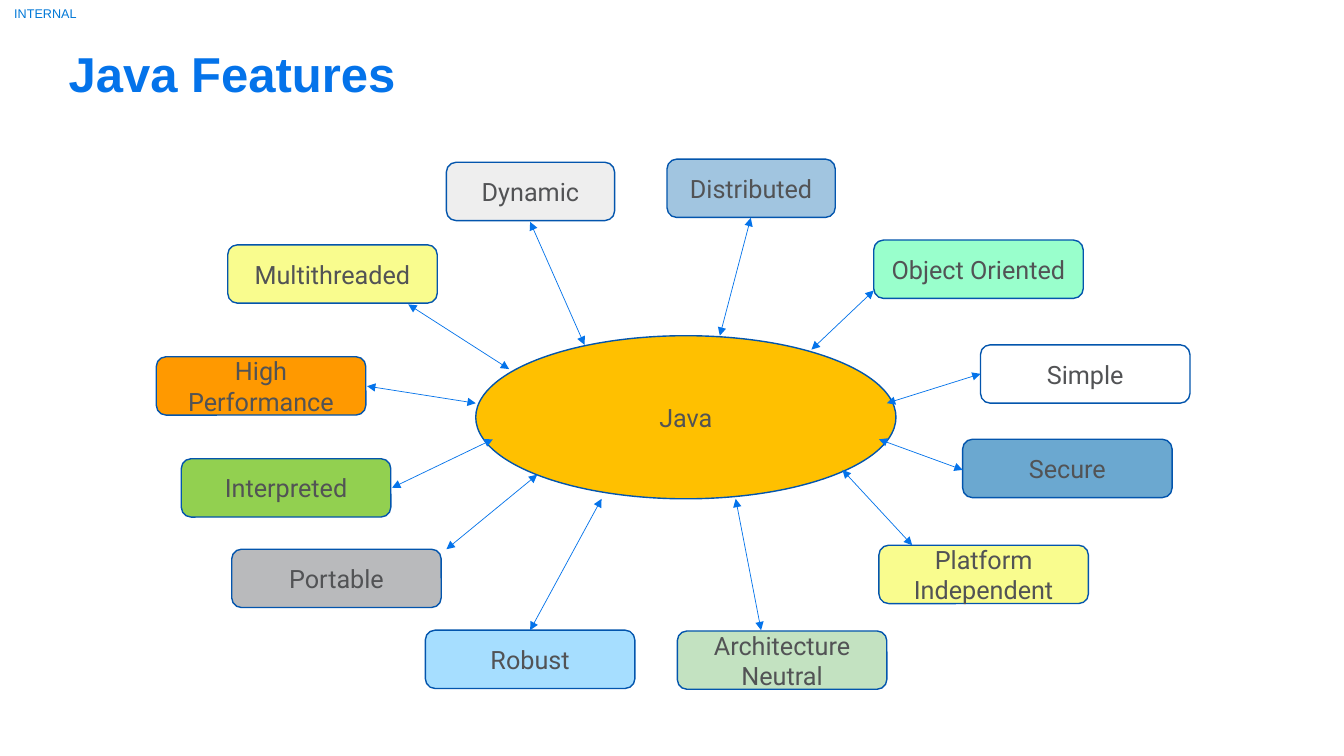
from lxml import etree
from pptx import Presentation
from pptx.dml.color import RGBColor
from pptx.enum.shapes import MSO_CONNECTOR, MSO_SHAPE
from pptx.enum.text import MSO_ANCHOR, PP_ALIGN
from pptx.oxml.ns import qn
from pptx.util import Cm, Pt

ELLIPSE = MSO_SHAPE.OVAL
ROUNDED = MSO_SHAPE.ROUNDED_RECTANGLE
STRAIGHT = MSO_CONNECTOR.STRAIGHT
TOP, MIDDLE = MSO_ANCHOR.TOP, MSO_ANCHOR.MIDDLE
LEFT, CENTER = PP_ALIGN.LEFT, PP_ALIGN.CENTER

LABEL_BLUE = RGBColor(0x00, 0x78, 0xD7)
BRIGHT_BLUE = RGBColor(0x04, 0x73, 0xEA)
OUTLINE_BLUE = RGBColor(0x03, 0x55, 0xAD)
TEXT_GREY = RGBColor(0x52, 0x53, 0x55)
AMBER = RGBColor(0xFF, 0xC0, 0x00)
STEEL_BLUE = RGBColor(0xA1, 0xC5, 0xE0)
MINT = RGBColor(0x99, 0xFF, 0xCC)
WHITE = RGBColor(0xFF, 0xFF, 0xFF)
MID_BLUE = RGBColor(0x6B, 0xA8, 0xD0)
YELLOW = RGBColor(0xF9, 0xFC, 0x8E)
SKY_BLUE = RGBColor(0xA6, 0xDE, 0xFF)
GREY = RGBColor(0xB9, 0xBA, 0xBC)
GREEN = RGBColor(0x92, 0xD0, 0x50)
ORANGE = RGBColor(0xFF, 0x99, 0x00)
PALE_GREEN = RGBColor(0xC3, 0xE2, 0xC1)
PALE_GREY = RGBColor(0xEE, 0xEE, 0xEE)

WIDE, NARROW, BOX_HEIGHT = 5.28, 4.24, 1.47

# Name, fill, left, top, width, arrow end at the box, arrow end at the ellipse (cm)
FEATURES = [
    ("Distributed", STEEL_BLUE, 16.81, 4.01, NARROW, (18.92, 5.49), (18.14, 8.46)),
    ("Object Oriented", MINT, 22.02, 6.05, WIDE, (22.02, 7.32), (20.45, 8.81)),
    ("Simple", WHITE, 24.71, 8.69, WIDE, (24.71, 9.42), (22.35, 10.16)),
    ("Secure", MID_BLUE, 24.26, 11.07, WIDE, (24.26, 11.84), (22.15, 11.07)),
    ("Platform Independent", YELLOW, 22.15, 13.74, WIDE, (22.99, 13.74), (21.23, 11.84)),
    ("Robust", SKY_BLUE, 10.72, 15.88, WIDE, (13.36, 15.88), (15.16, 12.57)),
    ("Portable", GREY, 5.84, 13.84, WIDE, (11.25, 13.84), (13.54, 11.96)),
    ("Interpreted", GREEN, 4.57, 11.56, WIDE, (9.88, 12.29), (12.42, 11.07)),
    ("High Performance", ORANGE, 3.94, 8.99, WIDE, (9.25, 9.73), (11.99, 10.16)),
    ("Multithreaded", YELLOW, 5.74, 6.17, WIDE, (10.29, 7.67), (12.83, 9.3)),
    ("Architecture Neutral", PALE_GREEN, 17.07, 15.9, WIDE, (19.18, 15.88), (18.54, 12.57)),
    ("Dynamic", PALE_GREY, 11.25, 4.09, NARROW, (13.36, 5.59), (14.73, 8.69)),
]


class FeatureSlide:
    heading_font = "Arial"
    body_font = "Roboto"
    body_size = 18

    def __init__(self, presentation):
        self.slide = presentation.slides.add_slide(presentation.slide_layouts[6])

    def set_text(self, frame, text, font_name, size, color, align, anchor, bold=False):
        frame.word_wrap = True
        frame.vertical_anchor = anchor
        paragraph = frame.paragraphs[0]
        paragraph.text = text
        paragraph.alignment = align
        font = paragraph.font
        font.name, font.size, font.bold = font_name, Pt(size), bold
        font.color.rgb = color

    def heading(self, text, left, top, width, height, size, color, align, anchor,
                bold=False, margin_top=0):
        box = self.slide.shapes.add_textbox(Cm(left), Cm(top), Cm(width), Cm(height))
        frame = box.text_frame
        frame.margin_left = frame.margin_right = frame.margin_bottom = 0
        frame.margin_top = Cm(margin_top)
        self.set_text(frame, text, self.heading_font, size, color, align, anchor, bold)

    def node(self, kind, text, fill, left, top, width, height):
        shape = self.slide.shapes.add_shape(kind, Cm(left), Cm(top), Cm(width), Cm(height))
        shape.shadow.inherit = False
        shape.fill.solid()
        shape.fill.fore_color.rgb = fill
        shape.line.color.rgb = OUTLINE_BLUE
        shape.line.width = Pt(1)
        self.set_text(shape.text_frame, text, self.body_font, self.body_size,
                      TEXT_GREY, CENTER, MIDDLE)

    def double_arrow(self, start, end):
        points = [Cm(length) for length in (*start, *end)]
        connector = self.slide.shapes.add_connector(STRAIGHT, *points)
        connector.line.color.rgb = BRIGHT_BLUE
        connector.line.width = Pt(0.5)
        properties = connector._element.spPr
        line = properties.find(qn("a:ln"))
        for tag in ("a:headEnd", "a:tailEnd"):
            etree.SubElement(line, qn(tag), type="triangle")
        etree.SubElement(properties, qn("a:effectLst"))


def main():
    presentation = Presentation()
    presentation.slide_width = Cm(33.87)
    presentation.slide_height = Cm(19.05)
    page = FeatureSlide(presentation)

    page.heading("INTERNAL", 0, 0, 2.29, 0.66, 9, LABEL_BLUE, CENTER, MIDDLE)
    page.heading("Java Features", 1.73, 0.97, 26.47, 2.44, 35, BRIGHT_BLUE, LEFT, TOP,
                 bold=True, margin_top=0.13)
    page.node(ELLIPSE, "Java", AMBER, 11.99, 8.46, 10.59, 4.11)
    for name, fill, left, top, width, _, _ in FEATURES:
        page.node(ROUNDED, name, fill, left, top, width, BOX_HEIGHT)
    for *_, box_end, ellipse_end in FEATURES:
        page.double_arrow(box_end, ellipse_end)

    presentation.save("out.pptx")


if __name__ == "__main__":
    main()
